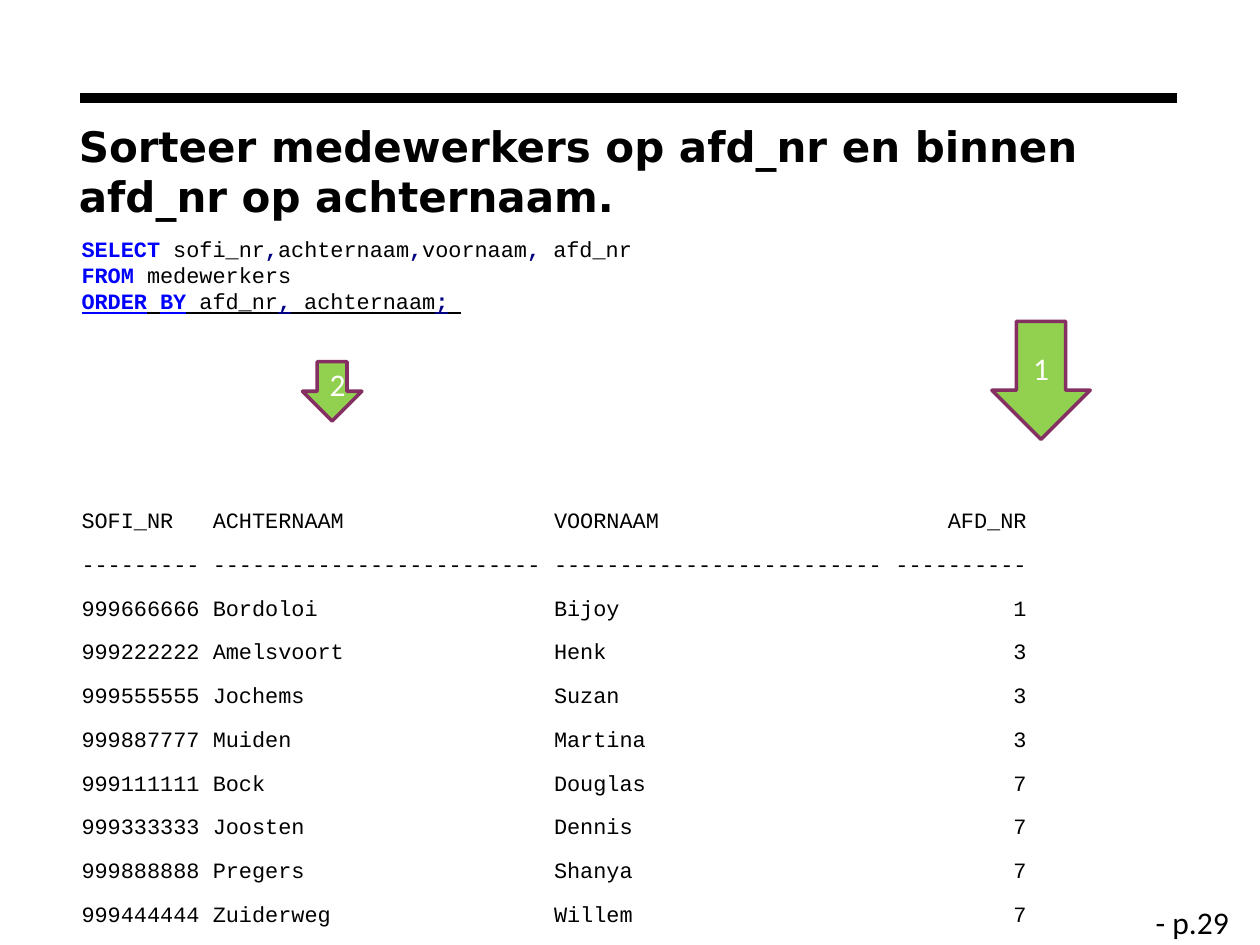
from lxml.etree import SubElement
from pptx import Presentation
from pptx.dml.color import RGBColor
from pptx.enum.shapes import MSO_CONNECTOR, MSO_SHAPE
from pptx.enum.text import MSO_ANCHOR, PP_ALIGN
from pptx.oxml.ns import qn
from pptx.util import Pt

BLACK, BLUE, NAVY = "000000", "0000FF", "000080"
CODE_SIZE = 12.5
CHAR = CODE_SIZE * 0.6
KEYWORD = dict(color=BLUE, bold=True)
MARK = dict(color=NAVY, bold=True)

QUERY = [
    [("SELECT ", KEYWORD), ("sofi_nr", {}), (",", MARK), ("achternaam", {}),
     (",", MARK), ("voornaam", {}), (", ", MARK), ("afd_nr ", {})],
    [("FROM", KEYWORD), (" medewerkers ", {})],
    [("ORDER", KEYWORD), (" ", {}), ("BY", KEYWORD), (" afd_nr", {}),
     (",", MARK), (" achternaam", {}), (";", MARK), (" ", {})],
]
WIDTHS = (9, 25, 25, 10)
ROWS = [
    ("SOFI_NR", "ACHTERNAAM", "VOORNAAM", "AFD_NR"),
    tuple("-" * n for n in WIDTHS),
    ("999666666", "Bordoloi", "Bijoy", "1"),
    ("999222222", "Amelsvoort", "Henk", "3"),
    ("999555555", "Jochems", "Suzan", "3"),
    ("999887777", "Muiden", "Martina", "3"),
    ("999111111", "Bock", "Douglas", "7"),
    ("999333333", "Joosten", "Dennis", "7"),
    ("999888888", "Pregers", "Shanya", "7"),
    ("999444444", "Zuiderweg", "Willem", "7"),
]


def rgb(color):
    """Turn a hex string into a colour."""
    return RGBColor.from_string(color)


def add_text(p, text, font="Courier New", size=CODE_SIZE, color=BLACK,
             bold=False, underline=False):
    """Append a formatted run to a paragraph."""
    r = p.add_run()
    r.text = text
    f = r.font
    f.name, f.size, f.bold, f.underline = font, Pt(size), bold, underline
    f.color.rgb = rgb(color)


def add_box(s, x, y, w, h):
    """Add a wrapping text box and return its text frame."""
    tf = s.shapes.add_textbox(Pt(x), Pt(y), Pt(w), Pt(h)).text_frame
    tf.word_wrap = True
    return tf


def set_tabs(p):
    """Set the column tab stops, with the last one right-aligned."""
    tabs = SubElement(p._p.get_or_add_pPr(), qn("a:tabLst"))
    second = WIDTHS[0] + 1
    third = second + WIDTHS[1] + 1
    end = sum(WIDTHS) + len(WIDTHS) - 1
    for col, align in ((second, "l"), (third, "l"), (end, "r")):
        SubElement(tabs, qn("a:tab"), pos=str(Pt(col * CHAR)), algn=align)


def format_code(p, before=3):
    """Space a paragraph of code or output."""
    p.space_before, p.space_after = Pt(before), Pt(7)


def add_header(s, x, y, w, h):
    """Draw the rule and the title below it."""
    rule = s.shapes.add_connector(MSO_CONNECTOR.STRAIGHT, Pt(x + 7.5), Pt(y),
                                  Pt(x + 634.5), Pt(y))
    rule.line.color.rgb = rgb(BLACK)
    rule.line.width = Pt(6)
    SubElement(rule._element.spPr, qn("a:effectLst"))
    tf = add_box(s, x, y + 9.2, w, h)
    add_text(tf.paragraphs[0],
             "Sorteer medewerkers op afd_nr en binnen afd_nr op achternaam.",
             font="DejaVu Sans", size=24, bold=True)


def add_listing(s, x, y, w, h):
    """Write the query and its result rows."""
    tf = add_box(s, x, y, w, h)
    p = tf.paragraphs[0]
    format_code(p)
    for i, line in enumerate(QUERY):
        if i:
            p.add_line_break()
        for text, style in line:
            add_text(p, text, underline=i == len(QUERY) - 1, **style)
    for i, row in enumerate(ROWS):
        p = tf.add_paragraph()
        format_code(p, before=3 if i else 103)
        set_tabs(p)
        add_text(p, "\t".join(row))


def add_arrow(s, text, x, y, w, h):
    """Draw a numbered arrow that points down to a sort column."""
    sp = s.shapes.add_shape(MSO_SHAPE.DOWN_ARROW, Pt(x), Pt(y), Pt(w), Pt(h))
    sp.shadow.inherit = False
    sp.fill.solid()
    sp.fill.fore_color.rgb = rgb("92D050")
    sp.line.color.rgb = rgb("843062")
    sp.line.width = Pt(2)
    tf = sp.text_frame
    tf.vertical_anchor = MSO_ANCHOR.MIDDLE
    p = tf.paragraphs[0]
    p.alignment = PP_ALIGN.CENTER
    add_text(p, text, font="Calibri", size=18, color="FFFFFF")


def add_page_number(s, x, y, w, h):
    """Write the page number."""
    tf = add_box(s, x, y, w, h)
    add_text(tf.paragraphs[0], "- p.29", font="Calibri", size=18)


def main():
    """Build the slide and save it."""
    prs = Presentation()
    prs.slide_width, prs.slide_height = Pt(720), Pt(540)
    s = prs.slides.add_slide(prs.slide_layouts[6])
    add_header(s, 38, 56, 615, 50)
    add_listing(s, 39.5, 131, 613.5, 360)
    add_page_number(s, 653.3, 512.5, 66.7, 29)
    add_arrow(s, "1", 566.8, 183.6, 56.2, 67.5)
    add_arrow(s, "2", 172.8, 206.6, 34, 34)
    prs.save("out.pptx")


if __name__ == "__main__":
    main()
